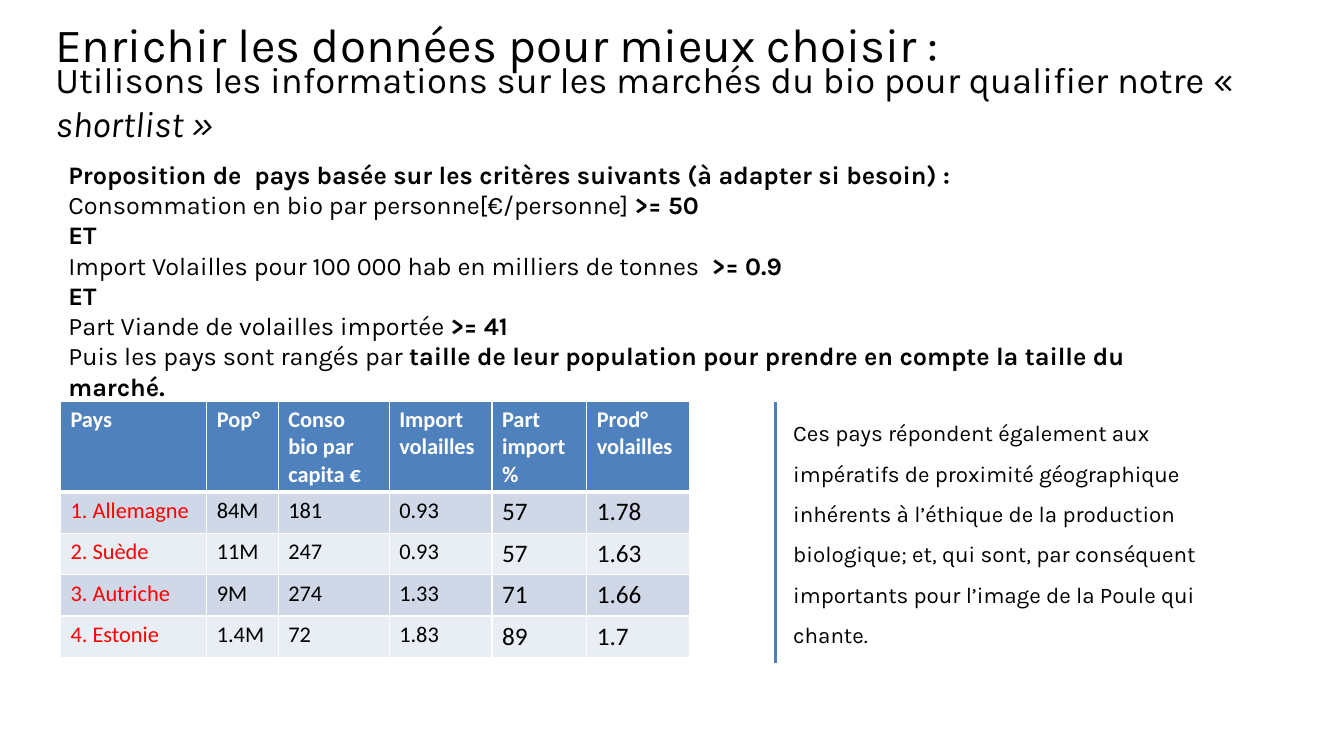
from dataclasses import dataclass

from lxml.etree import SubElement as Sub
from pptx import Presentation as Deck
from pptx.dml.color import RGBColor as Rgb
from pptx.enum.shapes import MSO_CONNECTOR as Link
from pptx.enum.text import MSO_ANCHOR as Anchor
from pptx.oxml.ns import qn
from pptx.util import Emu, Inches, Pt

WIDE, HIGH = Inches(13.33), Inches(7.5)
BLACK, WHITE, RED, BLUE = "000000", "FFFFFF", "FF0000", "4F81BD"
BANDS = ("D0D8E8", "E9EDF4")
TOP = 53.07


@dataclass(frozen=True)
class Block:
    text: str
    left: float
    top: float
    width: float
    height: float
    size: int
    mark: str = "bold"
    anchor: Anchor = Anchor.TOP
    space: float = 1.0


@dataclass(frozen=True)
class Column:
    head: str
    width: float
    cells: tuple[str, ...]
    color: str = BLACK
    size: int = 16


BLOCKS = (
    Block("Utilisons les informations sur les marchés du bio pour qualifier notre « |shortlist »",
          3.38, 9.87, 94.5, 6.93, 26, mark="italic", anchor=Anchor.MIDDLE),
    Block("Enrichir les données pour mieux choisir :",
          3.38, 1.33, 82, 8.93, 34, anchor=Anchor.MIDDLE),
    Block("|Proposition de  pays basée sur les critères suivants (à adapter si besoin) :\n"
          "Consommation en bio par personne[€/personne] |>= 50\n"
          "|ET\n"
          "Import Volailles pour 100 000 hab en milliers de tonnes  |>= 0.9\n"
          "|ET\n"
          "Part Viande de volailles importée |>= 41\n"
          "Puis les pays sont rangés par |taille de leur population pour prendre "
          "en compte la taille du marché.",
          4.35, 20.4, 86.85, 29.6, 18),
    Block("Ces pays répondent également aux impératifs de proximité géographique "
          "inhérents à l’éthique de la production biologique; et, qui sont, par "
          "conséquent importants pour l’image de la Poule qui chante.",
          58.28, TOP, 33.68, 33.07, 16, space=1.5),
)

COLUMNS = (
    Column("Pays", 10.88, ("1. Allemagne", "2. Suède", "3. Autriche", "4. Estonie"), RED),
    Column("Pop°", 5.33, ("84M", "11M", "9M", "1.4M")),
    Column("Conso bio par capita €", 8.25, ("181", "247", "274", "72")),
    Column("Import volailles", 7.65, ("0.93", "0.93", "1.33", "1.83")),
    Column("Part import\n%", 7.05, ("57", "57", "71", "89"), size=18),
    Column("Prod°\nvolailles", 7.65, ("1.78", "1.63", "1.66", "1.7"), size=18),
)


def across(share: float) -> Emu:
    return Emu(round(WIDE * share / 100))


def down(share: float) -> Emu:
    return Emu(round(HIGH * share / 100))


def paint(code: str) -> Rgb:
    return Rgb.from_string(code)


def write(frame, text: str, *, size: int, font: str = "Karla", color: str = BLACK,
          bold: bool = False, mark: str = "bold", space: float = 1.0) -> None:
    for row, line in enumerate(text.split("\n")):
        para = frame.add_paragraph() if row else frame.paragraphs[0]
        para.line_spacing = space
        for part, words in enumerate(line.split("|")):
            if not words:
                continue
            run = para.add_run()
            run.text = words
            face = run.font
            face.name, face.size, face.bold = font, Pt(size), bold
            face.color.rgb = paint(color)
            if part % 2:
                setattr(face, mark, True)


def place(slide, block: Block) -> None:
    box = slide.shapes.add_textbox(across(block.left), down(block.top),
                                   across(block.width), down(block.height))
    frame = box.text_frame
    frame.word_wrap = True
    frame.vertical_anchor = block.anchor
    write(frame, block.text, size=block.size, mark=block.mark, space=block.space)


def edge(cell, base: int) -> None:
    props = cell._tc.get_or_add_tcPr()
    for side, width in (("L", 1), ("R", 1), ("T", 1), ("B", base)):
        line = Sub(props, qn(f"a:ln{side}"), w=str(Pt(width)))
        fill = Sub(line, qn("a:solidFill"))
        Sub(fill, qn("a:srgbClr"), val=WHITE)


def shade(cell, code: str, base: int = 1) -> None:
    edge(cell, base)
    cell.fill.solid()
    cell.fill.fore_color.rgb = paint(code)


def tabulate(slide) -> None:
    count = len(COLUMNS[0].cells)
    head, step = 11.87, 5.47
    total = sum(col.width for col in COLUMNS)
    grid = slide.shapes.add_table(count + 1, len(COLUMNS), across(4.5), down(TOP),
                                  across(total), down(head + count * step)).table
    for row in range(count + 1):
        grid.rows[row].height = down(step if row else head)
    for place_at, col in enumerate(COLUMNS):
        grid.columns[place_at].width = across(col.width)
        top = grid.cell(0, place_at)
        shade(top, BLUE, base=3)
        write(top.text_frame, col.head, size=16, font="Calibri", color=WHITE, bold=True)
        for row, text in enumerate(col.cells):
            cell = grid.cell(row + 1, place_at)
            shade(cell, BANDS[row % 2])
            write(cell.text_frame, text, size=col.size, font="Calibri", color=col.color)


def divide(slide) -> None:
    rule = slide.shapes.add_connector(Link.STRAIGHT, across(57.68), down(53.2),
                                      across(57.68), down(87.73))
    rule.line.color.rgb = paint("4B7EBC")
    rule.line.width = Pt(2)
    Sub(rule._element.spPr, qn("a:effectLst"))


def main() -> None:
    deck = Deck()
    deck.slide_width, deck.slide_height = WIDE, HIGH
    slide = deck.slides.add_slide(deck.slide_layouts[6])
    for block in BLOCKS:
        place(slide, block)
    tabulate(slide)
    divide(slide)
    deck.save("out.pptx")


if __name__ == "__main__":
    main()
